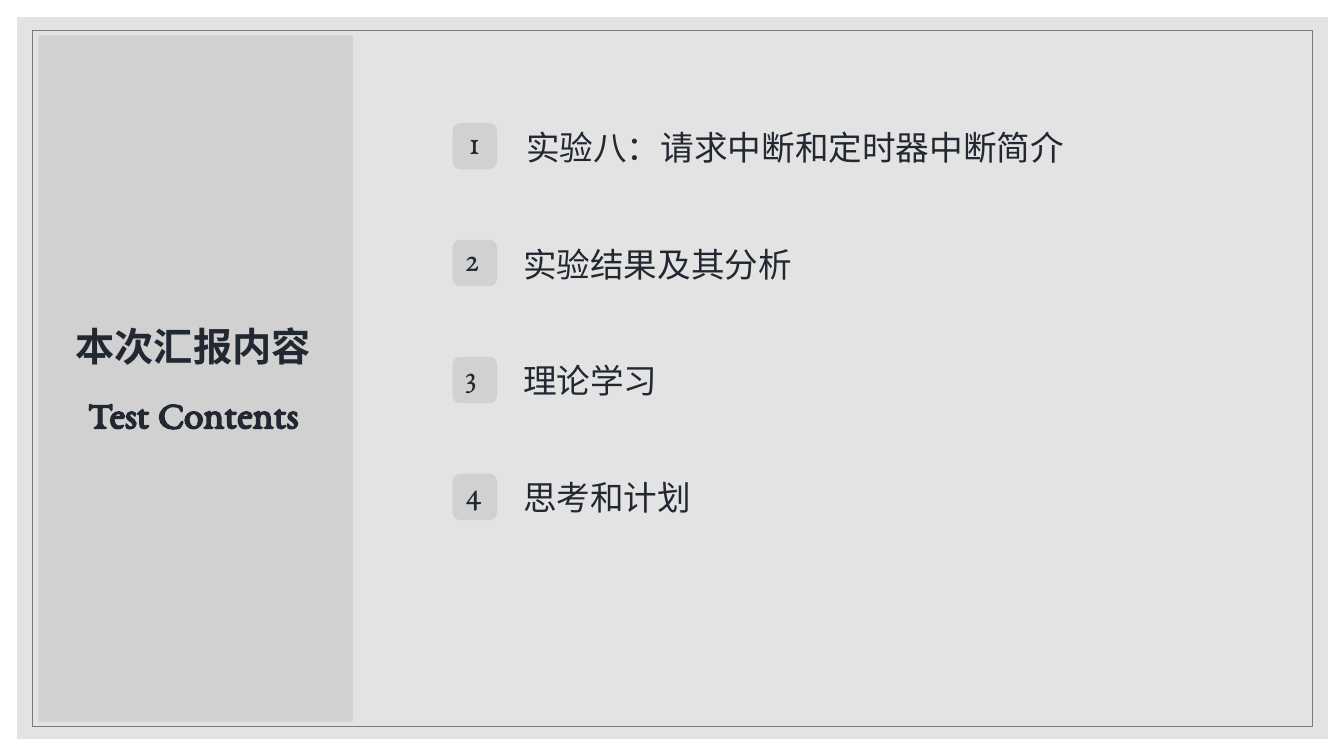
from dataclasses import dataclass

from pptx import Presentation
from pptx.dml.color import RGBColor
from pptx.enum.shapes import MSO_SHAPE
from pptx.enum.text import MSO_ANCHOR, PP_ALIGN
from pptx.util import Inches, Pt

RECTANGLE = MSO_SHAPE.RECTANGLE
ROUNDED = MSO_SHAPE.ROUNDED_RECTANGLE
MIDDLE = MSO_ANCHOR.MIDDLE
LEFT, CENTER = PP_ALIGN.LEFT, PP_ALIGN.CENTER

HEADINGS = ["本次汇报内容", "Test Contents"]
# label, label left, label width, number inset, number size
TOPICS = [
    ("实验八：请求中断和定时器中断简介", 5.12, 6.81, 0.15, 23.8),
    ("实验结果及其分析", 5.09, 3.28, 0.1, 24),
    ("理论学习", 5.09, 3.28, 0.1, 24),
    ("思考和计划", 5.09, 4.95, 0.1, 24),
]


@dataclass(frozen=True)
class Theme:
    font: str = "EB Garamond"
    ink: RGBColor = RGBColor(0x22, 0x28, 0x31)
    backdrop: RGBColor = RGBColor(0xE4, 0xE3, 0xE3)
    panel: RGBColor = RGBColor(0xD1, 0xD1, 0xD1)
    frame: RGBColor = RGBColor(0x79, 0x7A, 0x7E)
    heading_size: float = 28
    topic_size: float = 24


THEME = Theme()


def add_box(slide, kind, left, top, width, height, fill=None, line=None):
    shape = slide.shapes.add_shape(
        kind, Inches(left), Inches(top), Inches(width), Inches(height))
    shape.shadow.inherit = False
    if fill is None:
        shape.fill.background()
    else:
        shape.fill.solid()
        shape.fill.fore_color.rgb = fill
    if line is None:
        shape.line.fill.background()
    else:
        shape.line.color.rgb = line
        shape.line.width = Pt(0.5)
    return shape


def write(shape, text, size, alignment=LEFT, spacing=0.9, bold=False):
    frame = shape.text_frame
    frame.word_wrap = True
    frame.vertical_anchor = MIDDLE
    paragraph = frame.paragraphs[0]
    paragraph.text = text
    paragraph.alignment = alignment
    paragraph.line_spacing = spacing
    paragraph.font.name = THEME.font
    paragraph.font.size = Pt(size)
    paragraph.font.bold = bold
    paragraph.font.color.rgb = THEME.ink


def add_text(slide, left, top, width, height, text, size, **style):
    box = slide.shapes.add_textbox(
        Inches(left), Inches(top), Inches(width), Inches(height))
    write(box, text, size, **style)


def add_number(slide, top, number, inset, size):
    badge = add_box(slide, ROUNDED, 4.49, top, 0.44, 0.46, fill=THEME.panel)
    badge.text_frame.margin_left = Inches(inset)
    badge.text_frame.margin_right = 0
    write(badge, str(number), size, spacing=0.7)


def main():
    presentation = Presentation()
    presentation.slide_width = Inches(13.33)
    presentation.slide_height = Inches(7.5)
    slide = presentation.slides.add_slide(presentation.slide_layouts[6])

    add_box(slide, RECTANGLE, 0.17, 0.17, 13, 7.16, fill=THEME.backdrop)
    add_box(slide, RECTANGLE, 0.32, 0.3, 12.7, 6.91, line=THEME.frame)
    add_box(slide, RECTANGLE, 0.38, 0.35, 3.12, 6.81, fill=THEME.panel)

    for row, heading in enumerate(HEADINGS):
        add_text(slide, 0.49, 3.18 + row * 0.66, 2.85, 0.57, heading,
                 THEME.heading_size, alignment=CENTER, bold=True)

    for row, (label, left, width, inset, number_size) in enumerate(TOPICS):
        top = 1.22 + row * 1.16
        add_number(slide, top, row + 1, inset, number_size)
        add_text(slide, left, top, width, 0.52, label, THEME.topic_size)

    presentation.save("out.pptx")


if __name__ == "__main__":
    main()
